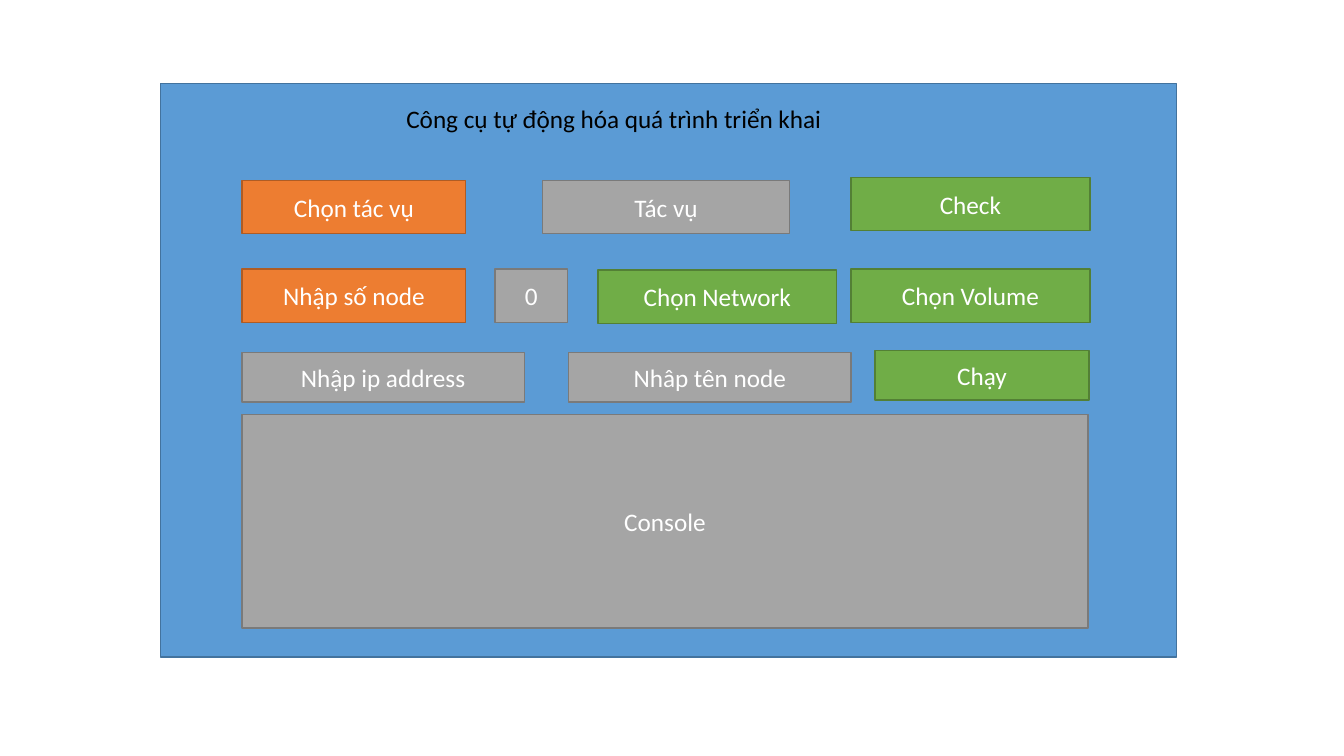
from pptx import Presentation
from pptx.dml.color import RGBColor
from pptx.enum.shapes import MSO_SHAPE
from pptx.enum.text import MSO_ANCHOR, MSO_AUTO_SIZE, PP_ALIGN
from pptx.util import Inches, Pt

TITLE = "Công cụ tự động hóa quá trình triển khai"
TONES = {
    "blue": ("5B9BD5", "43739E"),
    "orange": ("ED7D31", "AF5C24"),
    "gray": ("A5A5A5", "7A7A7A"),
    "green": ("70AD47", "538035"),
}
PANEL = (1.59, 0.83, 10.08, 5.69)
HEAD = (3.93, 0.97, 4.86, 0.4)
LEFT = 2.4
ROWS = [
    (0.53, [
        ("Chọn tác vụ", "orange", LEFT, 1.79, 2.22),
        ("Tác vụ", "gray", 5.38, 1.79, 2.45),
        ("Check", "green", 8.44, 1.76, 2.37),
    ]),
    (0.53, [
        ("Nhập số node", "orange", LEFT, 2.67, 2.22),
        ("0", "gray", 4.91, 2.67, 0.72),
        ("Chọn Network", "green", 5.93, 2.68, 2.37),
        ("Chọn Volume", "green", 8.44, 2.67, 2.37),
    ]),
    (0.49, [
        ("Nhập ip address", "gray", LEFT, 3.5, 2.8),
        ("Nhâp tên node", "gray", 5.64, 3.5, 2.8),
        ("Chạy", "green", 8.68, 3.48, 2.12),
    ]),
    (2.12, [("Console", "gray", LEFT, 4.11, 8.39)]),
]


def color(code):
    return RGBColor.from_string(code)


def write(shape, text, code, align, anchor):
    frame = shape.text_frame
    frame.word_wrap = True
    frame.vertical_anchor = anchor
    para = frame.paragraphs[0]
    para.alignment = align
    run = para.add_run()
    run.text = text
    run.font.name = "Calibri"
    run.font.size = Pt(18)
    run.font.color.rgb = color(code)


def add_box(slide, place, tone):
    box = slide.shapes.add_shape(MSO_SHAPE.RECTANGLE, *map(Inches, place))
    fill, edge = TONES[tone]
    box.shadow.inherit = False
    box.fill.solid()
    box.fill.fore_color.rgb = color(fill)
    box.line.color.rgb = color(edge)
    box.line.width = Pt(1)
    return box


def main():
    deck = Presentation()
    deck.slide_width, deck.slide_height = Inches(13.33), Inches(7.5)
    slide = deck.slides.add_slide(deck.slide_layouts[5])

    panel = add_box(slide, PANEL, "blue")
    title = slide.shapes.title
    title.left, title.top, title.width, title.height = map(Inches, HEAD)
    write(title, TITLE, "000000", PP_ALIGN.LEFT, MSO_ANCHOR.TOP)
    title.text_frame.auto_size = MSO_AUTO_SIZE.SHAPE_TO_FIT_TEXT
    panel._element.addnext(title._element)

    for high, cells in ROWS:
        for text, tone, left, top, wide in cells:
            box = add_box(slide, (left, top, wide, high), tone)
            write(box, text, "FFFFFF", PP_ALIGN.CENTER, MSO_ANCHOR.MIDDLE)

    deck.save("out.pptx")


if __name__ == "__main__":
    main()
